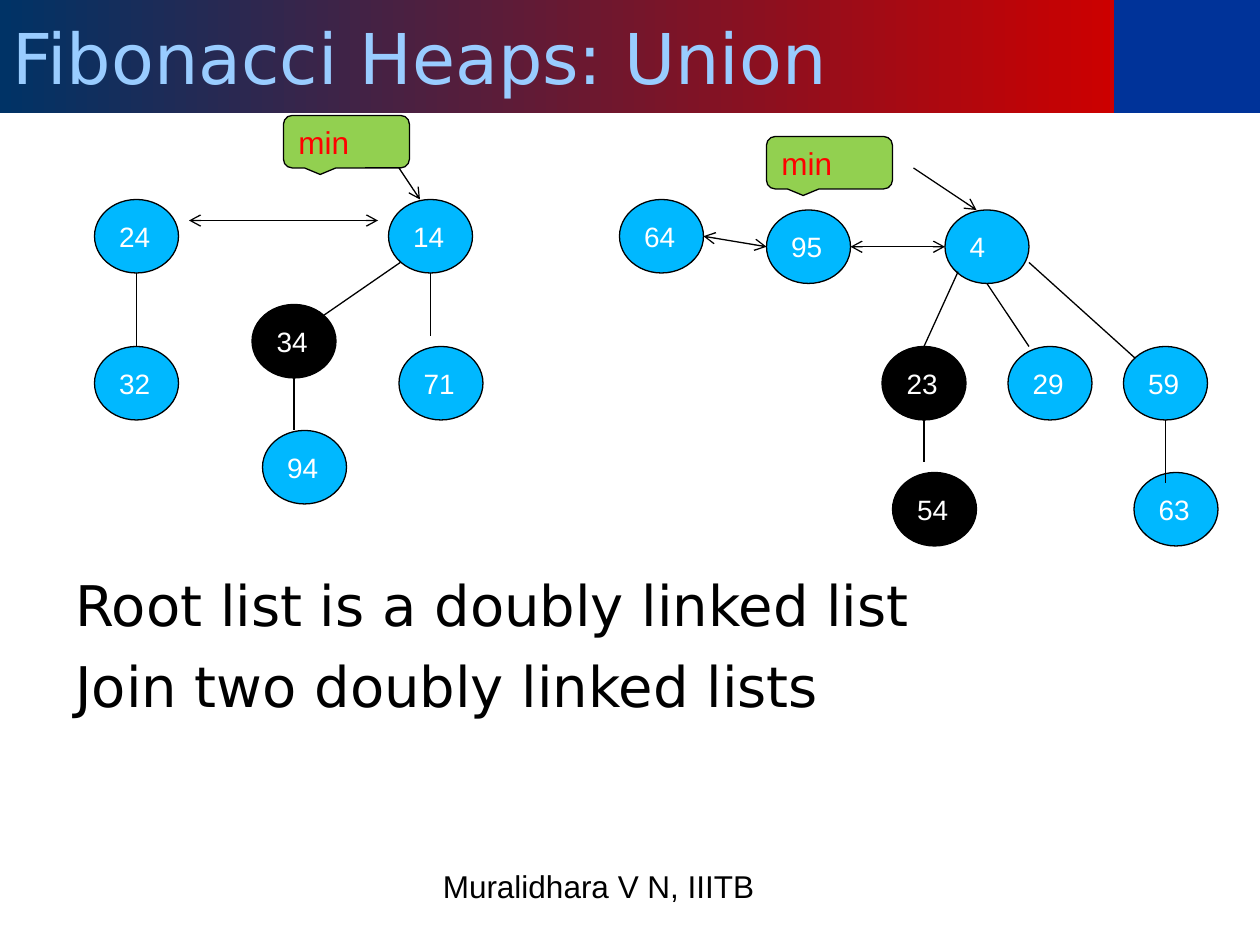
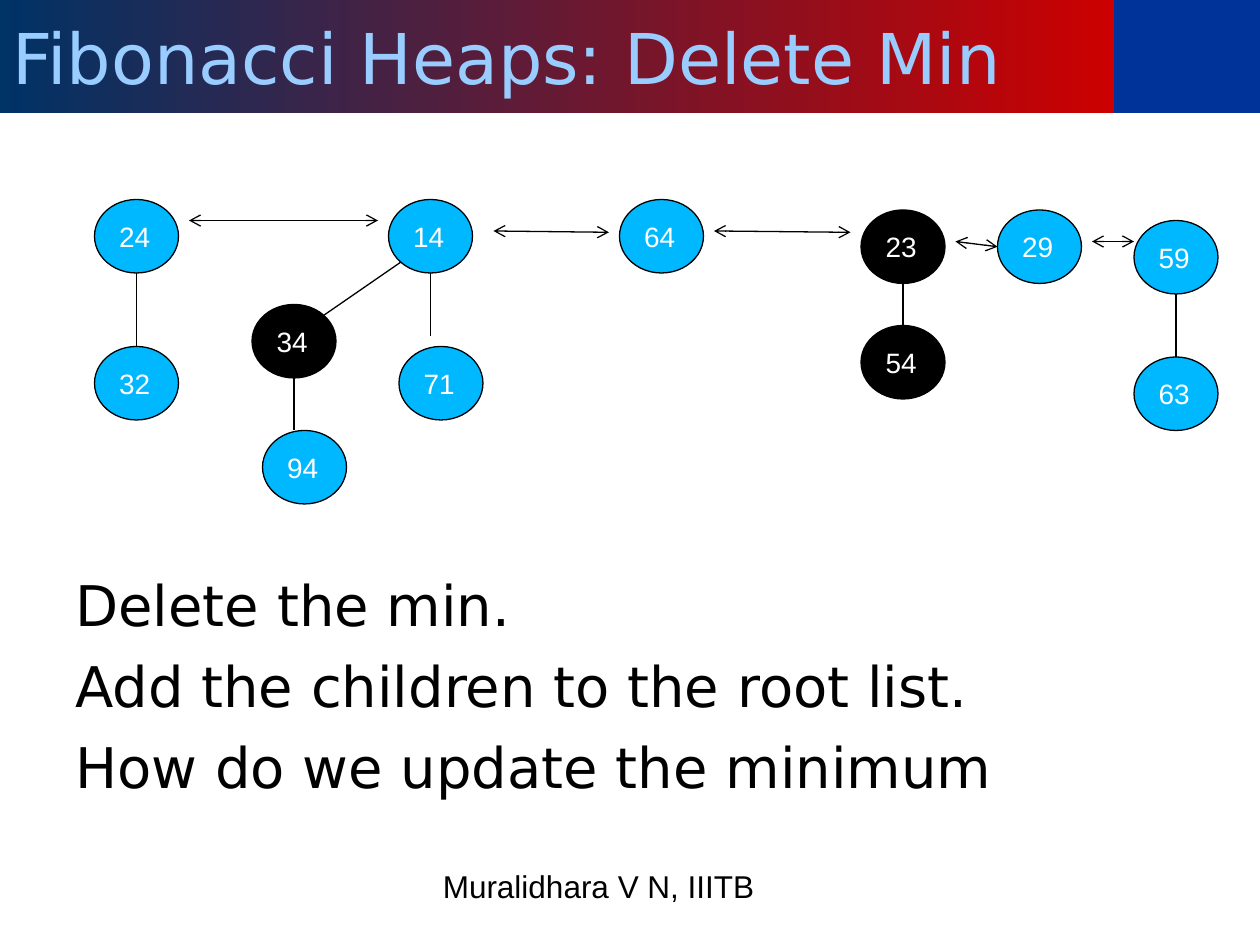
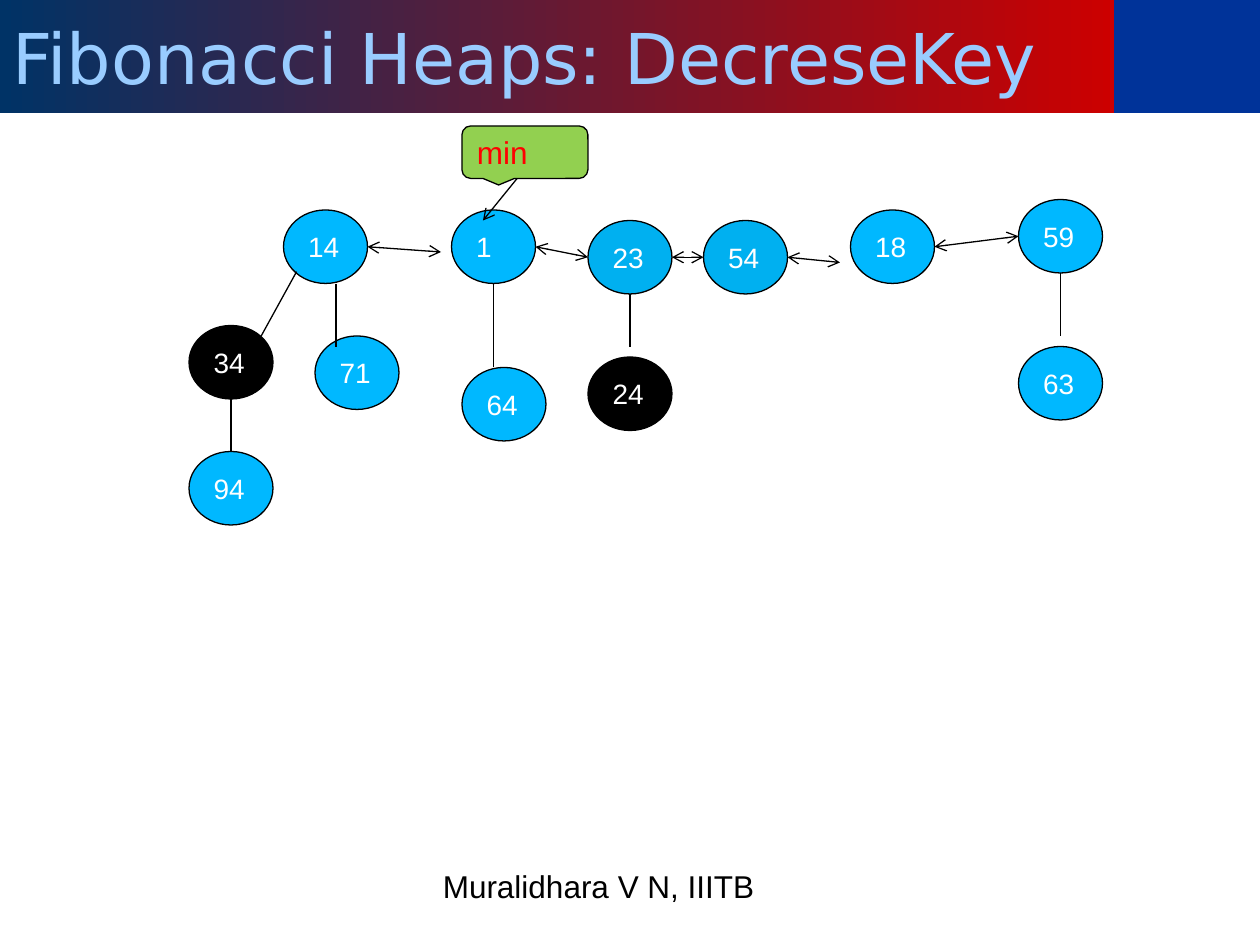
import pptx
import pptx.util
import pptx.dml.color
import pptx.enum.shapes
import pptx.enum.text
import pptx.oxml.ns
import lxml.etree

EMU_PER_PX = 9525  # 96 px to the inch
COLORS = {
    "band": "003399", "grad_right": "CC0000", "grad_left": "003366",
    "title": "99CCFF", "text": "000000", "line": "000000",
    "node": "00B8FF", "marked": "000000", "unmarked": "00B0F0",
    "key": "FFFFFF", "callout": "92D050", "min": "FF0000",
}
SHAPE = pptx.enum.shapes.MSO_SHAPE
ALIGN = pptx.enum.text.PP_ALIGN
MIDDLE = pptx.enum.text.MSO_ANCHOR.MIDDLE
TOP = pptx.enum.text.MSO_ANCHOR.TOP
FOOTER = "Muralidhara V N, IIITB"


def px(n):
    return pptx.util.Emu(n * EMU_PER_PX)


def rgb(name):
    return pptx.dml.color.RGBColor.from_string(COLORS[name])


class Deck:
    """Holds the shared style and the slide being drawn."""

    title_font, body_font = "DejaVu Sans", "Arial"

    def __init__(self):
        self.prs = pptx.Presentation()
        self.prs.slide_width, self.prs.slide_height = px(960), px(720)
        self.s = None

    def new_slide(self, title):
        self.s = self.prs.slides.add_slide(self.prs.slide_layouts[6])
        self.box(SHAPE.RECTANGLE, 848, 0, 112, 86, "band")
        sp = self.box(SHAPE.RECTANGLE, 0, 0, 849, 86)
        sp.fill.gradient()
        sp.fill.gradient_angle = 180
        for stop, name in zip(sp.fill.gradient_stops, ("grad_right", "grad_left")):
            stop.color.rgb = rgb(name)
        self.put_text(sp, [title], 40, "title", self.title_font)
        self.text(328, 656, 472, 50, [FOOTER], 18, self.body_font)

    def box(self, kind, x, y, w, h, fill=None, outlined=False):
        sp = self.s.shapes.add_shape(kind, px(x), px(y), px(w), px(h))
        sp.shadow.inherit = False
        if fill:
            sp.fill.solid()
            sp.fill.fore_color.rgb = rgb(fill)
        if outlined:
            sp.line.color.rgb = rgb("line")
            sp.line.width = pptx.util.Pt(0.75)
        else:
            sp.line.fill.background()
        return sp

    def put_text(self, sp, lines, size, color, font, anchor=MIDDLE, align=ALIGN.LEFT, before=0):
        tf = sp.text_frame
        tf.word_wrap = True
        tf.vertical_anchor = anchor
        for i, line in enumerate(lines):
            p = tf.add_paragraph() if i else tf.paragraphs[0]
            p.alignment = align
            p.space_before = pptx.util.Pt(before)
            r = p.add_run()
            r.text = line
            r.font.size = pptx.util.Pt(size)
            r.font.name = font
            r.font.color.rgb = rgb(color)

    def text(self, x, y, w, h, lines, size, font, **style):
        sp = self.s.shapes.add_textbox(px(x), px(y), px(w), px(h))
        self.put_text(sp, lines, size, "text", font, TOP, **style)

    def body(self, lines):
        self.text(48, 430, 864, 212, lines, 32, self.title_font,
                  align=ALIGN.JUSTIFY, before=8)

    def node(self, key, x, y, fill="node"):
        sp = self.box(SHAPE.OVAL, x, y, 64, 56, fill, outlined=True)
        self.put_text(sp, [str(key)], 16, "key", self.body_font)

    def min_callout(self, x, y):
        sp = self.box(SHAPE.ROUNDED_RECTANGULAR_CALLOUT, x, y, 96, 40, "callout", outlined=True)
        self.put_text(sp, ["min"], 18, "min", self.body_font)

    def line(self, x1, y1, x2, y2, ends=()):
        c = self.s.shapes.add_connector(
            pptx.enum.shapes.MSO_CONNECTOR.STRAIGHT, px(x1), px(y1), px(x2), px(y2))
        c.line.color.rgb = rgb("line")
        c.line.width = pptx.util.Pt(0.75)
        qn = pptx.oxml.ns.qn
        props = c.element.spPr
        for end in ends:
            lxml.etree.SubElement(props.find(qn("a:ln")), qn("a:" + end), type="arrow")
        lxml.etree.SubElement(props, qn("a:effectLst"))

    def heap(self, nodes, edges, links, callouts=(), pointers=()):
        """Nodes, parent-child edges, two-way root links and min pointers."""
        for node in nodes:
            self.node(*node)
        for callout in callouts:
            self.min_callout(*callout)
        for ends, group in (((), edges), (("headEnd", "tailEnd"), links),
                            (("tailEnd",), pointers)):
            for points in group:
                self.line(*points, ends=ends)


# The heap that the first two slides share
LEFT_NODES = [(24, 72, 152), (34, 192, 232, "marked"), (71, 304, 264), (14, 296, 152),
              (64, 472, 152), (32, 72, 264), (94, 200, 328)]
LEFT_EDGES = [(104, 208, 104, 264), (224, 288, 224, 328), (247, 240, 305, 200),
              (328, 208, 328, 256)]
LEFT_LINKS = [(144, 168, 288, 168)]


def main():
    deck = Deck()

    # Union
    deck.new_slide("Fibonacci Heaps: Union")
    deck.body(["Root list is a doubly linked list", "Join two doubly linked lists"])
    deck.heap(
        nodes=LEFT_NODES + [
            (54, 680, 360, "marked"), (63, 864, 360), (59, 856, 264), (29, 768, 264),
            (23, 672, 264, "marked"), (4, 720, 160), (95, 584, 160)],
        edges=LEFT_EDGES + [
            (730, 207, 704, 264), (752, 216, 784, 264), (784, 200, 865, 273),
            (704, 320, 704, 352), (888, 320, 888, 368)],
        links=LEFT_LINKS + [(536, 180, 584, 188), (648, 188, 720, 188)],
        callouts=[(584, 104), (216, 88)],
        pointers=[(696, 128, 744, 160), (304, 128, 320, 152)])

    # Delete min
    deck.new_slide("Fibonacci Heaps: Delete Min")
    deck.body(["Delete the min.", "Add the children to the root list.",
               "How do we update the minimum"])
    deck.heap(
        nodes=LEFT_NODES + [
            (54, 656, 248, "marked"), (63, 864, 272), (59, 864, 168), (29, 760, 160),
            (23, 656, 160, "marked")],
        edges=LEFT_EDGES + [(688, 216, 688, 248), (896, 224, 896, 272)],
        links=LEFT_LINKS + [
            (376, 176, 464, 177), (544, 176, 648, 177), (728, 184, 760, 188),
            (832, 184, 864, 184)])

    # Decrease key
    deck.new_slide("Fibonacci Heaps: DecreseKey")
    deck.heap(
        nodes=[
            (24, 448, 272, "marked"), (34, 144, 248, "marked"), (71, 240, 256),
            (14, 216, 160), (64, 352, 280), (54, 536, 168, "unmarked"), (63, 776, 264),
            (59, 776, 152), (1, 344, 160), (23, 448, 168, "unmarked"), (94, 144, 344),
            (18, 648, 160)],
        edges=[
            (176, 304, 176, 344), (199, 256, 226, 207), (256, 216, 256, 264),
            (808, 208, 808, 256), (376, 216, 376, 280), (480, 224, 480, 264)],
        links=[
            (712, 188, 776, 180), (600, 196, 640, 200), (280, 188, 336, 192),
            (408, 188, 448, 196), (512, 196, 536, 196)],
        callouts=[(352, 96)],
        pointers=[(394, 136, 368, 168)])

    deck.prs.save("out.pptx")


if __name__ == "__main__":
    main()
